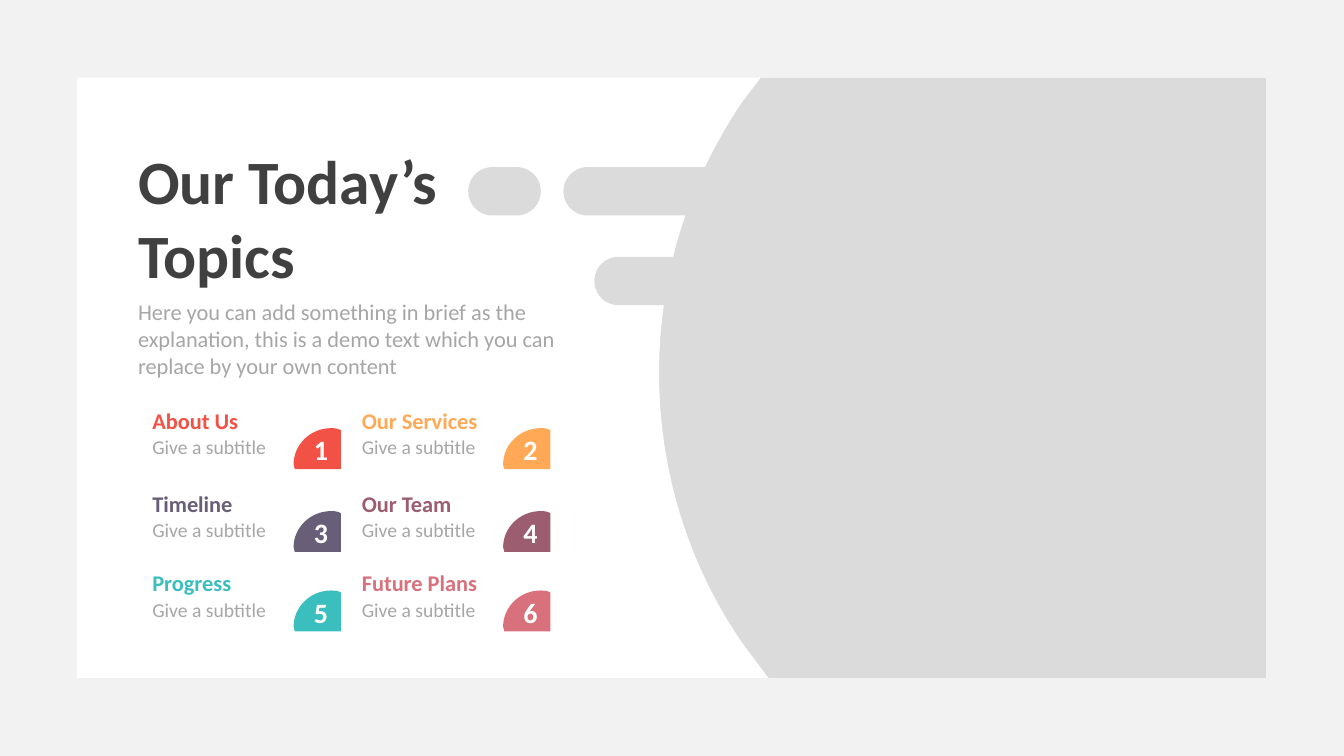
"""Build the slide of today's topics, with six numbered cards."""
from lxml.etree import SubElement as Sub
from pptx import Presentation
from pptx.dml.color import RGBColor as Rgb
from pptx.enum.shapes import MSO_SHAPE as Kind
from pptx.enum.text import MSO_AUTO_SIZE as Fit, PP_ALIGN as Align
from pptx.oxml.ns import qn
from pptx.util import Cm, Pt

WHITE = Rgb(0xFF, 0xFF, 0xFF)
PALE = Rgb(0xF2, 0xF2, 0xF2)
SILVER = Rgb(0xDB, 0xDB, 0xDB)
GREY = Rgb(0xA6, 0xA6, 0xA6)
DARK = Rgb(0x40, 0x40, 0x40)
RED = Rgb(0xF2, 0x52, 0x45)
AMBER = Rgb(0xFF, 0xA9, 0x56)
SLATE = Rgb(0x69, 0x5E, 0x78)
PLUM = Rgb(0x9C, 0x5D, 0x71)
TEAL = Rgb(0x3B, 0xBE, 0xBE)
ROSE = Rgb(0xD8, 0x71, 0x7B)

TITLE = "Our Today\u2019s Topics"
BRIEF = ("Here you can add something in brief as the explanation, "
         "this is a demo text which you can replace by your own content")
HINT = "Give a subtitle"
TOPICS = [("About Us", RED), ("Our Services", AMBER),
          ("Timeline", SLATE), ("Our Team", PLUM),
          ("Progress", TEAL), ("Future Plans", ROSE)]
COLS = [3.59, 8.87]
ROWS = [10.1, 12.19, 14.19]

THICK = 1.22
PILLS = [(Kind.ROUND_2_SAME_RECTANGLE, 14.2, 4.21, 3.91),
         (Kind.ROUND_2_SAME_RECTANGLE, 14.98, 6.47, 3.12),
         (Kind.ROUNDED_RECTANGLE, 11.8, 4.21, 1.83)]

PANEL = [(1.94, 1.96), (19.17, 1.96), (18.69, 2.59),
         (17.37, 4.55, 16.61, 6.88, 16.61, 9.4),
         (16.61, 11.91, 17.37, 14.25, 18.69, 16.18),
         (19.36, 17.08), (1.94, 17.08)]
BADGE = [(0.94, 0), (0.99, 0, 1.07, 0, 1.12, 0.02), (1.19, 0.05),
         (1.19, 1.03), (0.03, 1.03), (0, 0.91),
         (0, 0.41, 0.43, 0, 0.94, 0)]


def paint(shape, color):
    shape.shadow.inherit = False
    shape.fill.solid()
    shape.fill.fore_color.rgb = color
    shape.line.fill.background()
    return shape


def block(home, kind, box, color):
    return paint(home.add_shape(kind, *map(Cm, box)), color)


def outline(home, parts, color, left=0, top=0):
    """Draw corners as lines and six-number parts as cubic curves."""
    dots = [(Cm(left + x), Cm(top + y)) for part in parts
            for x, y in zip(part[::2], part[1::2])]
    pen = home.build_freeform(*dots[0])
    pen.add_line_segments(dots[1:], close=False)
    pen.add_line_segments([], close=True)
    shape = pen.convert_to_shape()
    lines = iter(list(shape.element.iter(qn("a:lnTo"))))
    for part in parts[1:]:
        group = [next(lines) for _ in range(len(part) // 2)]
        if len(group) == 3:
            curve = Sub(group[0].getparent(), qn("a:cubicBezTo"))
            group[0].addprevious(curve)
            for line in group:
                curve.append(line[0])
                line.getparent().remove(line)
    return paint(shape, color)


def write(home, text, box, size, color, bold=False, align=Align.LEFT):
    frame = home.add_textbox(*map(Cm, box)).text_frame
    frame.word_wrap = True
    frame.auto_size = Fit.SHAPE_TO_FIT_TEXT
    para = frame.paragraphs[0]
    para.alignment = align
    run = para.add_run()
    run.text = text
    font = run.font
    font.name, font.size, font.bold = "Calibri", Pt(size), bold
    font.color.rgb = color


def card(home, left, top, number, name, color):
    block(home, Kind.RECTANGLE, (left, top, 5, 1.7), WHITE)
    outline(home, BADGE, color, left + 3.81, top + 0.69)
    write(home, str(number), (left + 3.94, top + 0.68, 1.12, 1.12), 20,
          WHITE, bold=True, align=Align.CENTER)
    write(home, HINT, (left, top + 0.74, 3.86, 0.86), 14, GREY)
    write(home, name, (left, top + 0.03, 4.6, 0.94), 16, color, bold=True)


deck = Presentation()
deck.slide_width, deck.slide_height = Cm(33.87), Cm(19.05)
slide = deck.slides.add_slide(deck.slide_layouts[6])
slide.background.fill.solid()
slide.background.fill.fore_color.rgb = SILVER
shapes = slide.shapes

border = block(shapes, Kind.FRAME, (0, 0, 33.87, 19.05), PALE)
border.adjustments[0] = 0.103
outline(shapes, PANEL, WHITE)

for kind, left, top, length in PILLS:
    shift = (length - THICK) / 2
    pill = block(shapes, kind, (left + shift, top - shift, THICK, length),
                 SILVER)
    pill.rotation = 270
    pill.adjustments[0] = 0.5

write(shapes, TITLE, (3.23, 3.48, 8.56, 4.01), 44, DARK, bold=True)
block(shapes, Kind.RECTANGLE, (2.92, 7.49, 11.28, 2.18), WHITE)
write(shapes, BRIEF, (3.23, 7.39, 11.43, 2.31), 16, GREY)

for spot, (name, color) in enumerate(TOPICS):
    row, col = divmod(spot, len(COLS))
    group = shapes.add_group_shape()
    card(group.shapes, COLS[col], ROWS[row], spot + 1, name, color)

deck.save("out.pptx")
